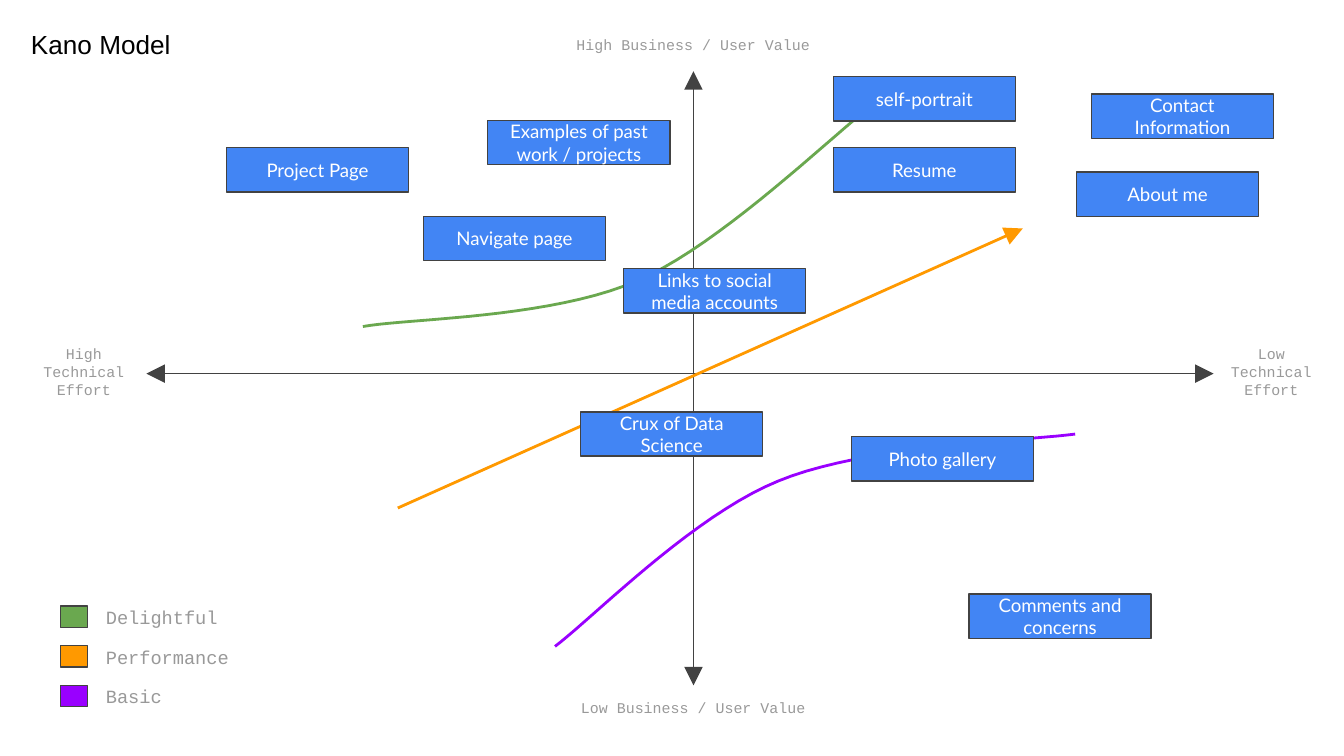
from lxml import etree
from pptx import Presentation
from pptx.dml.color import RGBColor
from pptx.enum.shapes import MSO_CONNECTOR, MSO_SHAPE
from pptx.enum.text import MSO_ANCHOR, PP_ALIGN
from pptx.oxml.ns import qn
from pptx.util import Inches, Pt

STRAIGHT = MSO_CONNECTOR.STRAIGHT
RECT = MSO_SHAPE.RECTANGLE
TOP, MIDDLE = MSO_ANCHOR.TOP, MSO_ANCHOR.MIDDLE
LEFT, CENTER = PP_ALIGN.LEFT, PP_ALIGN.CENTER

COLS, ROWS = 100, 56.25
CARD_W, CARD_H = 13.55, 3.3
LEGEND_TOP, LEGEND_STEP = 45.1, 2.95
CURVE_STEPS = 20

COLORS = {
    "ink": "000000",
    "axis": "424242",
    "label": "999999",
    "card": "4285F4",
    "card_text": "FFFFFF",
    "delightful": "6AA84F",
    "performance": "FF9900",
    "basic": "9900FF",
}

AXES = [((51.6, 5.3), (51.6, 51)), ((90.3, 27.8), (10.9, 27.8))]
AXIS_LABELS = [
    ("High Business / User Value", 41.8, 2, 19.6, TOP),
    ("Low Business / User Value", 41.8, 51.3, 19.6, TOP),
    ("High Technical Effort", 1.1, 25.85, 10.3, MIDDLE),
    ("Low Technical Effort", 90.3, 25.85, 8.6, MIDDLE),
]
CURVES = {
    "delightful": [(27, 24.3), (30.4, 23.7), (41, 23.7), (47.4, 20.9),
                   (53.7, 18.2), (62.2, 9.8), (65.2, 7.6)],
    "basic": [(41.3, 48.1), (44.1, 46), (51.5, 38.4), (57.9, 35.8),
              (64.4, 33.1), (76.3, 32.8), (80, 32.3)],
}
CARDS = [
    ("Resume", 62, 11),
    ("About me", 80.1, 12.8),
    ("Navigate page", 31.5, 16.1),
    ("Contact Information", 81.2, 7),
    ("self-portrait", 62, 5.7),
    ("Links to social media accounts", 46.4, 20),
    ("Crux of Data Science", 43.2, 30.65),
    ("Project Page", 16.85, 11),
    ("Photo gallery", 63.35, 32.5),
    ("Comments and concerns", 72.1, 44.2),
    ("Examples of past work / projects", 36.3, 8.95),
]


def cells(*counts):
    """Turn counts of 0.1-inch grid cells into lengths."""
    return [Inches(n / 10) for n in counts]


def rgb(name):
    """Look up a colour by name."""
    return RGBColor.from_string(COLORS[name])


def set_text(shape, text, size, font, color, align=LEFT, anchor=TOP):
    """Write one formatted paragraph into a shape."""
    tf = shape.text_frame
    tf.word_wrap = True
    tf.vertical_anchor = anchor
    tf.margin_left = tf.margin_right = tf.margin_top = tf.margin_bottom = Inches(0.1)
    tf.text = text
    p = tf.paragraphs[0]
    p.alignment = align
    f = p.runs[0].font
    f.size, f.name, f.color.rgb = Pt(size), font, rgb(color)


def add_title(s, text):
    """Place the slide title at the top left."""
    title = s.shapes.title
    title.left, title.top, title.width, title.height = cells(1.3, 1.1, 15.6, 3.1)
    set_text(title, text, 14, "Arial", "ink")


def add_label(s, text, x, y, w, size, align=LEFT, anchor=TOP):
    """Add a grey monospaced label."""
    box = s.shapes.add_textbox(*cells(x, y, w, 3.6))
    set_text(box, text, size, "Courier New", "label", align, anchor)


def add_rect(s, x, y, w, h, color):
    """Add a filled rectangle with a thin dark outline."""
    sp = s.shapes.add_shape(RECT, *cells(x, y, w, h))
    sp.shadow.inherit = False
    sp.fill.solid()
    sp.fill.fore_color.rgb = rgb(color)
    sp.line.color.rgb = rgb("axis")
    sp.line.width = Pt(0.75)
    return sp


def add_arrow(s, start, end, color, width, ends):
    """Add a straight line with triangles on the given ends."""
    line = s.shapes.add_connector(STRAIGHT, *cells(*start, *end))
    line.line.color.rgb = rgb(color)
    line.line.width = Pt(width)
    ln = line._element.spPr.find(qn("a:ln"))
    for end_tag in ends:
        etree.SubElement(ln, qn(end_tag), type="triangle", w="lg", len="lg")
    etree.SubElement(line._element.spPr, qn("a:effectLst"))


def bezier(p0, p1, p2, p3, t):
    """Return the point at t on a cubic curve."""
    u = 1 - t
    return tuple(u**3 * a + 3 * u * u * t * b + 3 * u * t * t * c + t**3 * d
                 for a, b, c, d in zip(p0, p1, p2, p3))


def add_curve(s, knots, color):
    """Draw chained cubic curves as one open outline."""
    points = [bezier(*knots[i:i + 4], n / CURVE_STEPS)
              for i in range(0, len(knots) - 1, 3)
              for n in range(1, CURVE_STEPS + 1)]
    builder = s.shapes.build_freeform(*cells(*knots[0]))
    builder.add_line_segments([cells(*pt) for pt in points], close=False)
    sp = builder.convert_to_shape()
    sp.shadow.inherit = False
    sp.fill.background()
    sp.line.color.rgb = rgb(color)
    sp.line.width = Pt(1.5)


def add_legend(s):
    """Add one swatch and label per Kano category."""
    for i, name in enumerate(("delightful", "performance", "basic")):
        y = LEGEND_TOP + i * LEGEND_STEP
        add_rect(s, 4.5, y, 2, 1.6, name)
        add_label(s, name.capitalize(), 6.9, y - 0.85, 19.6, 10)


def main():
    """Build the Kano model slide."""
    prs = Presentation()
    prs.slide_width, prs.slide_height = cells(COLS, ROWS)
    s = prs.slides.add_slide(prs.slide_layouts[5])
    add_title(s, "Kano Model")
    for start, end in AXES:
        add_arrow(s, start, end, "axis", 0.75, ("a:headEnd", "a:tailEnd"))
    for color, knots in CURVES.items():
        add_curve(s, knots, color)
    add_arrow(s, (29.6, 37.8), (76.1, 17), "performance", 1.5, ("a:tailEnd",))
    add_legend(s)
    for text, x, y, w, anchor in AXIS_LABELS:
        add_label(s, text, x, y, w, 8, CENTER, anchor)
    for text, x, y in CARDS:
        card = add_rect(s, x, y, CARD_W, CARD_H, "card")
        set_text(card, text, 10, "Lato", "card_text", CENTER, MIDDLE)
    prs.save("out.pptx")


if __name__ == "__main__":
    main()
